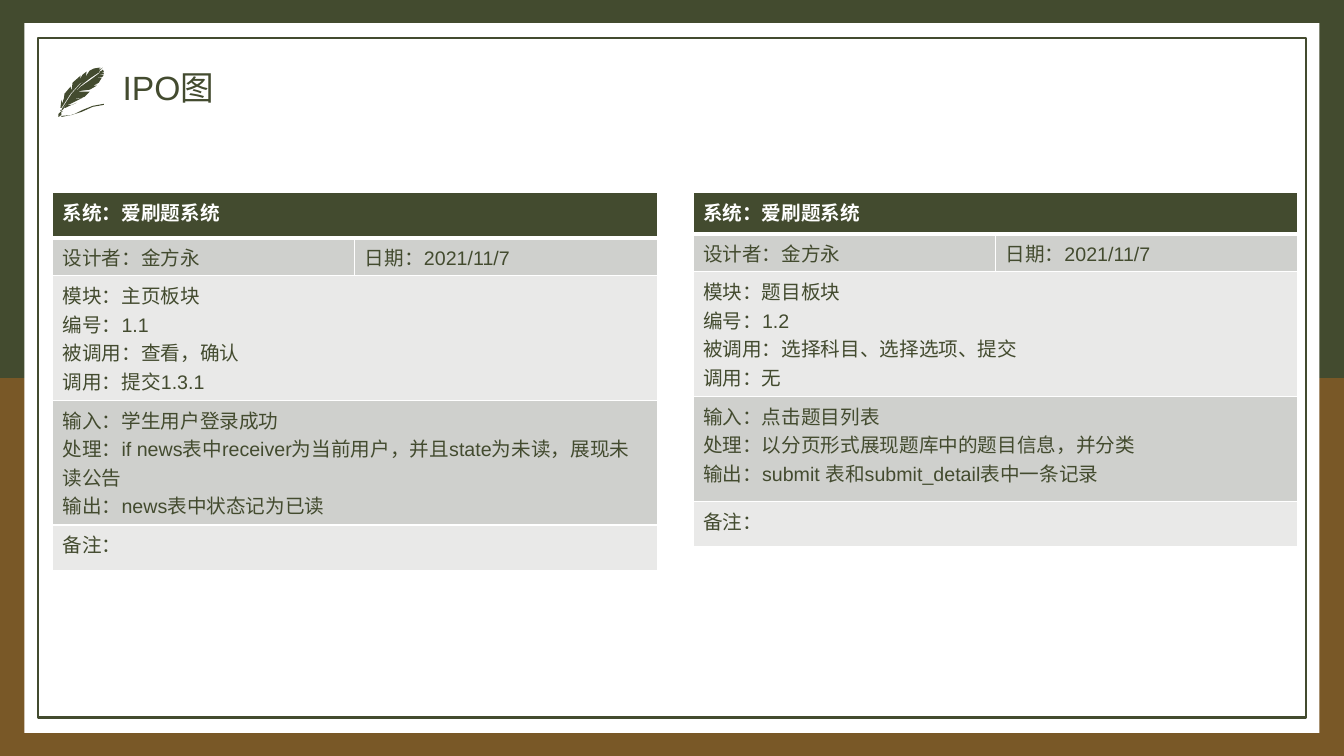
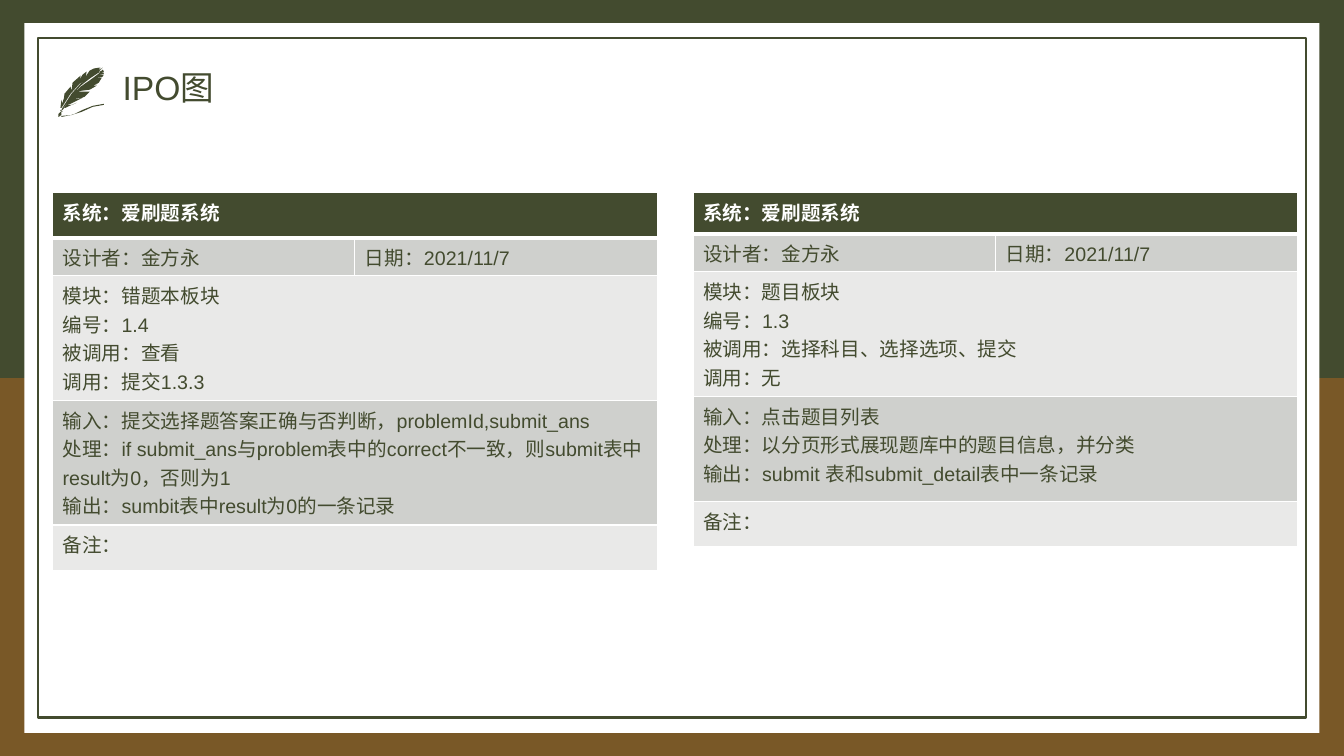
from lxml import etree
from pptx import Presentation
from pptx.dml.color import RGBColor
from pptx.enum import shapes, text
from pptx.oxml import ns
from pptx.util import Pt

COLORS = {
    "green": "434B2F",
    "brown": "795827",
    "white": "FFFFFF",
    "gray": "CFD0CD",
    "pale": "E9E9E8",
}
TITLE = {"size": Pt(24), "name": "Arial"}
HEADER = {"size": Pt(14), "name": "Montserrat", "bold": True}
BODY = {"size": Pt(14), "name": "Arial", "bold": False}

SLIDE_W, SLIDE_H = 960, 540
TABLE_TOP, TABLE_W = 137.5, 432
TABLE_LEFTS = (37.5, 495)
# Header, designer, module, process and remark rows of the two tables
ROW_HEIGHTS = ((32.5, 27, 89, 89, 32.5), (29.5, 27, 89, 75, 32.5))
ROW_FILLS = ("green", "gray", "pale", "gray", "pale")

# Feather outlines, in hundredths of an inch on the slide
FEATHER_UNIT = Pt(0.72)
FEATHER = [
    # nib
    [(60, 111), (61, 111), (61, 114), (58, 116), (58, 113)],
    [(60, 109), (62, 110), (62, 111), (60, 110)],
    # pen stroke
    [(103, 103), (103, 104), (92, 106), (81, 111), (71, 114.5), (61, 116),
     (61, 115), (72, 113.5), (82, 109), (92, 105)],
    # shaft
    [(101, 70), (89, 78), (80, 85), (72, 94), (63, 108), (62, 109), (61, 109),
     (62, 107), (71, 93), (80, 83), (95, 73)],
    # right vane
    [(102, 69), (103, 71), (100, 73), (103, 72), (103, 73), (97, 75), (103, 74),
     (102, 76), (94, 78), (101, 77), (98, 82), (93, 84), (97, 83), (92, 85),
     (96, 85), (89, 89), (81, 90), (76, 91), (81, 91), (89, 91), (84, 96),
     (81, 97), (73, 98), (78, 98), (82, 97), (70, 103), (66, 104), (71, 104),
     (76, 102), (69, 105), (65, 107), (63, 107), (72, 94), (80, 85.5), (90, 79),
     (98, 73)],
    # left vane
    [(99, 67), (97, 71), (100, 67), (98, 70), (102, 67), (98, 71), (94, 74),
     (79, 83), (70, 93), (61, 107), (60, 107), (61, 99), (62, 103), (63, 98),
     (63, 101), (64, 93), (70, 86), (71, 90), (72, 82), (80, 75), (79, 79),
     (82, 74), (86, 71), (85, 76), (89, 70), (93, 68)],
]


def rgb(name):
    return RGBColor.from_string(COLORS[name])


def set_font(font, style, color):
    for key, value in style.items():
        setattr(font, key, value)
    font.color.rgb = rgb(color)


def add_rect(slide, box, fill=None, line=None):
    sp = slide.shapes.add_shape(shapes.MSO_SHAPE.RECTANGLE, *map(Pt, box))
    sp.shadow.inherit = False
    if fill:
        sp.fill.solid()
        sp.fill.fore_color.rgb = rgb(fill)
    else:
        sp.fill.background()
    if line:
        sp.line.color.rgb = rgb(line)
        sp.line.width = Pt(1.5)
    else:
        sp.line.fill.background()


def add_feather(slide):
    start, *rest = FEATHER[0]
    fb = slide.shapes.build_freeform(*start, scale=FEATHER_UNIT)
    fb.add_line_segments(rest)
    for start, *rest in FEATHER[1:]:
        fb.move_to(*start)
        fb.add_line_segments(rest)
    sp = fb.convert_to_shape()
    sp.shadow.inherit = False
    sp.fill.solid()
    sp.fill.fore_color.rgb = rgb("green")
    sp.line.fill.background()


def add_frame(slide):
    half = SLIDE_H / 2
    add_rect(slide, (0, half, SLIDE_W, half), fill="brown")
    add_rect(slide, (0, 0, SLIDE_W, half), fill="green")
    add_rect(slide, (17.5, 16.5, 925, 507), fill="white")
    add_rect(slide, (27, 27, 906, 485.5), line="green")
    add_feather(slide)


def add_title(slide, title):
    tf = slide.shapes.add_textbox(Pt(80.5), Pt(47), Pt(432), Pt(34.5)).text_frame
    tf.word_wrap = True
    tf.vertical_anchor = text.MSO_ANCHOR.MIDDLE
    p = tf.paragraphs[0]
    p.line_spacing = 0.9
    r = p.add_run()
    r.text = title
    set_font(r.font, TITLE, "green")


def set_borders(cell, widths):
    """Draw white left, right, top and bottom borders of the given widths."""
    tc_pr = cell._tc.get_or_add_tcPr()
    for side, width in zip("LRTB", widths):
        ln = etree.SubElement(tc_pr, ns.qn(f"a:ln{side}"), w=str(Pt(width)))
        fill = etree.SubElement(ln, ns.qn("a:solidFill"))
        etree.SubElement(fill, ns.qn("a:srgbClr"), val=COLORS["white"])


def fill_cell(cell, lines, style, color):
    tf = cell.text_frame
    for i, line in enumerate(lines):
        p = tf.add_paragraph() if i else tf.paragraphs[0]
        r = p.add_run()
        r.text = line
        set_font(r.font, style, color)


def add_ipo_table(slide, left, heights, module, process):
    rows = [
        [["系统：爱刷题系统"]],
        [["设计者：金方永"], ["日期：2021/11/7"]],
        [module],
        [process],
        [["备注："]],
    ]
    box = (left, TABLE_TOP, TABLE_W, sum(heights))
    table = slide.shapes.add_table(len(rows), 2, *map(Pt, box)).table
    for i, (row, height, fill) in enumerate(zip(rows, heights, ROW_FILLS)):
        table.rows[i].height = Pt(height)
        widths = (1, 1, 3 if i == 1 else 1, 3 if i == 0 else 1)
        for cell in table.rows[i].cells:
            set_borders(cell, widths)
            cell.fill.solid()
            cell.fill.fore_color.rgb = rgb(fill)
        if len(row) == 1:
            table.cell(i, 0).merge(table.cell(i, 1))
        style, color = (BODY, "green") if i else (HEADER, "white")
        for j, lines in enumerate(row):
            fill_cell(table.cell(i, j), lines, style, color)


def question_card(number):
    """Return the module and process lines of a question module."""
    return (
        ["模块：题目板块", f"编号：{number}", "被调用：选择科目、选择选项、提交", "调用：无"],
        ["输入：点击题目列表",
         "处理：以分页形式展现题库中的题目信息，并分类",
         "输出：submit 表和submit_detail表中一条记录"],
    )


HOME_CARD = (
    ["模块：主页板块", "编号：1.1", "被调用：查看，确认", "调用：提交1.3.1"],
    ["输入：学生用户登录成功",
     "处理：if news表中receiver为当前用户，并且state为未读，展现未读公告",
     "输出：news表中状态记为已读"],
)
MISTAKES_CARD = (
    ["模块：错题本板块", "编号：1.4", "被调用：查看", "调用：提交1.3.3"],
    ["输入：提交选择题答案正确与否判断，problemId,submit_ans",
     "处理：if submit_ans与problem表中的correct不一致，则submit表中result为0，否则为1",
     "输出：sumbit表中result为0的一条记录"],
)
SLIDES = [
    (HOME_CARD, question_card("1.2")),
    (MISTAKES_CARD, question_card("1.3")),
]


def main():
    prs = Presentation()
    prs.slide_width, prs.slide_height = Pt(SLIDE_W), Pt(SLIDE_H)
    for cards in SLIDES:
        slide = prs.slides.add_slide(prs.slide_layouts[6])
        add_frame(slide)
        add_title(slide, "IPO图")
        for left, heights, card in zip(TABLE_LEFTS, ROW_HEIGHTS, cards):
            add_ipo_table(slide, left, heights, *card)
    prs.save("out.pptx")


if __name__ == "__main__":
    main()
